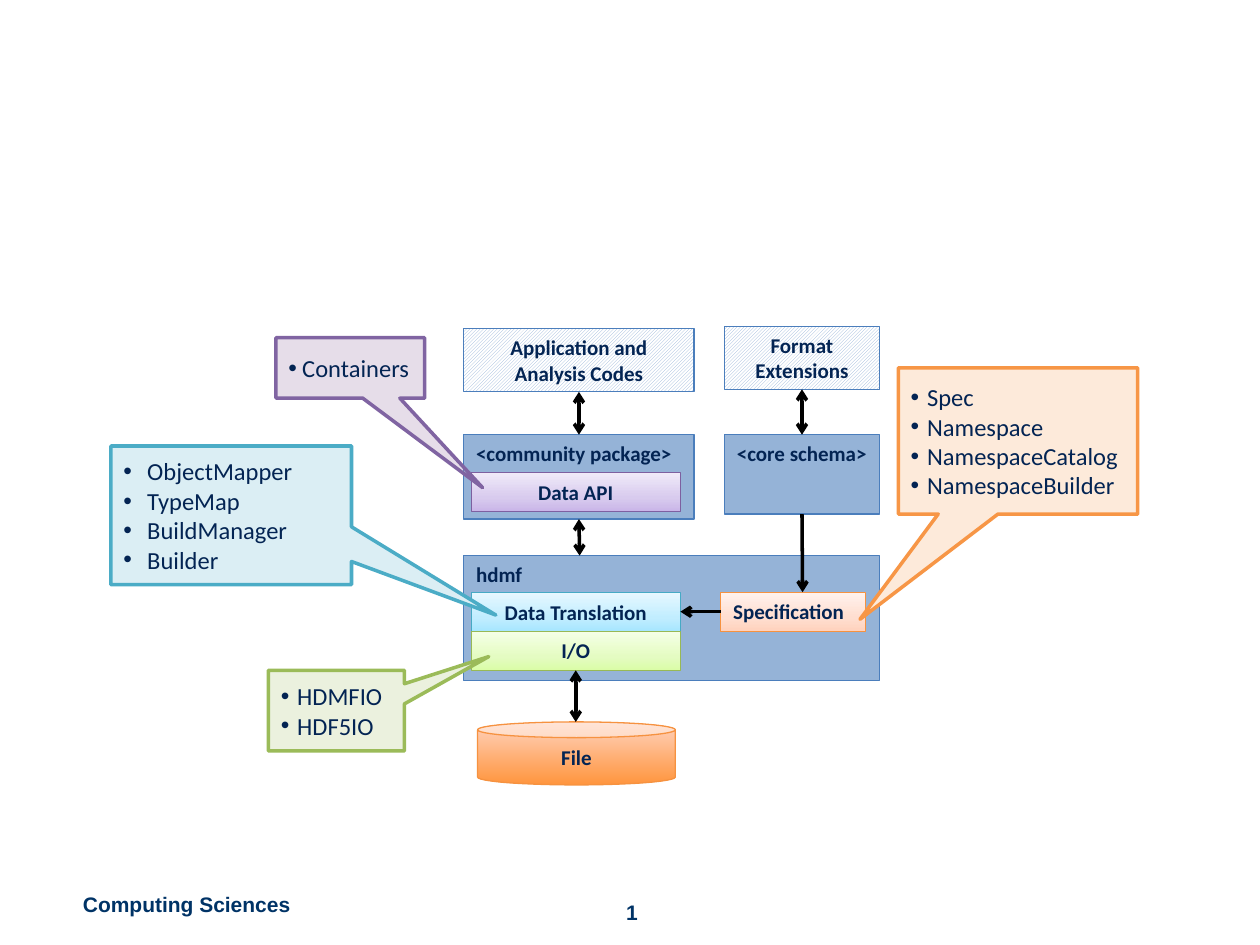
"""Build the layered software architecture slide with its class callouts."""
import copy

import pptx
import pptx.dml.color
import pptx.enum.dml
import pptx.enum.shapes
import pptx.enum.text
import pptx.oxml
import pptx.oxml.ns
import pptx.util

Inches, Pt = pptx.util.Inches, pptx.util.Pt
qn = pptx.oxml.ns.qn
KIND = pptx.enum.shapes.MSO_SHAPE
ALIGN = {"left": pptx.enum.text.PP_ALIGN.LEFT, "center": pptx.enum.text.PP_ALIGN.CENTER}
ANCHOR = {
    "top": pptx.enum.text.MSO_ANCHOR.TOP,
    "middle": pptx.enum.text.MSO_ANCHOR.MIDDLE,
    "bottom": pptx.enum.text.MSO_ANCHOR.BOTTOM,
}

INK, NAVY, BLACK = "032453", "003366", "000000"
STEEL, EDGE = "95B3D7", "4B7EBC"
HATCH = {"fore": STEEL, "back": "FFFFFF"}
PEACH = [(0, "FFD2BD"), (0.35, "FFDED0"), (1, "FFF2ED")]
LIME = [(0, "DAFDA7"), (0.35, "E4FCC2"), (1, "F5FFE7")]
LILAC = [(0, "C9B5E8"), (0.35, "D8CBEE"), (1, "F0EAF9")]
AQUA = [(0, "A7E6FF"), (0.35, "C1EDFF"), (1, "E7F8FF")]
FLAME = [(0, "FF953E"), (1, "FFD2BD")]

LEFT, RIGHT = (3.68, 1.83), (5.75, 1.23)
INNER = (3.74, 1.66)
BAR = 0.31
PANEL = LEFT[0], RIGHT[0] + RIGHT[1] - LEFT[0]

# name: text, (left, width), (top, height), fill, line, align, anchor
BOXES = {
    "hdmf": ("hdmf", PANEL, (4.41, 0.99), STEEL, EDGE, "left", "top"),
    "package": ("<community package>", LEFT, (3.45, 0.67), STEEL, EDGE, "left", "top"),
    "schema": ("<core schema>", RIGHT, (3.45, 0.63), STEEL, EDGE, "left", "top"),
    "codes": ("Application and Analysis Codes", LEFT, (2.61, 0.5), HATCH, EDGE, "center", "top"),
    "format": ("Format Extensions", RIGHT, (2.59, 0.5), HATCH, EDGE, "center", "top"),
    "spec": ("Specification", (5.72, 1.15), (4.7, BAR), PEACH, "F69240", "left", "top"),
    "api": ("Data API", INNER, (3.75, BAR), LILAC, "7D60A0", "center", "middle"),
    "trans": ("Data Translation", INNER, (4.7, BAR), AQUA, "46AAC5", "center", "middle"),
    "store": ("I/O", INNER, (4.7 + BAR, BAR), LIME, "98B955", "center", "top"),
    "file": ("File", (3.79, 1.57), (5.73, 0.5), FLAME, "F69240", "center", "middle"),
}

# start box, start side, end box, end side, both heads
LINKS = [
    ("package", 0, "codes", 2, True),
    ("hdmf", (4.6, 4.41), "package", 2, True),
    ("schema", 0, "format", 2, True),
    ("schema", 2, "spec", (6.37, 4.7), False),
    ("spec", 1, "trans", 3, False),
    ("store", 2, "file", (4.57, 5.73), True),
]

# lines, place, tip, fill, opacity, line, indent
NOTES = [
    (["ObjectMapper", "TypeMap", "BuildManager", "Builder"],
     (0.88, 3.54, 1.91, 1.1), (1.1, 0.72), "DBEEF4", 100, "4BACC6", 0.19),
    (["HDMFIO", "HDF5IO"],
     (2.13, 5.32, 1.08, 0.64), (1.12, -0.67), "EBF1DE", 100, "9BBB59", 0.13),
    (["Spec", "Namespace", "NamespaceCatalog", "NamespaceBuilder"],
     (7.13, 2.92, 1.9, 1.16), (-0.66, 1.22), "FDEADA", 100, "F79646", 0.13),
    (["Containers"],
     (2.19, 2.68, 1.18, 0.48), (0.89, 1.98), "AA8AB4", 29, "8064A2", 0.11),
]

FOOT = [
    ("Computing Sciences", (0.56, 7.03, 1.87, 0.3), "left", "top", False),
    ("1", (3.85, 6.99, 2.33, 0.4), "center", "bottom", True),
]


def rgb(code):
    return pptx.dml.color.RGBColor.from_string(code)


def write(shape, text, size=12, font="Calibri", color=INK, bold=True,
          align="left", anchor="top", wrap=True, indent=0):
    frame = shape.text_frame
    frame.word_wrap = wrap
    frame.vertical_anchor = ANCHOR[anchor]
    frame.text = text
    for para in frame.paragraphs:
        para.alignment = ALIGN[align]
        face = para.runs[0].font
        face.size, face.name, face.bold = Pt(size), font, bold
        face.color.rgb = rgb(color)
        if indent:
            props = para._p.get_or_add_pPr()
            props.set("marL", str(Inches(indent)))
            props.set("indent", str(-Inches(indent)))
            props.append(pptx.oxml.parse_xml(
                f'<a:buFont {pptx.oxml.ns.nsdecls("a")} typeface="Arial"/>'))
            props.append(pptx.oxml.parse_xml(
                f'<a:buChar {pptx.oxml.ns.nsdecls("a")} char="•"/>'))


def paint(shape, fill):
    if isinstance(fill, str):
        shape.fill.solid()
        shape.fill.fore_color.rgb = rgb(fill)
    elif isinstance(fill, dict):
        shape.fill.patterned()
        shape.fill.pattern = pptx.enum.dml.MSO_PATTERN.LIGHT_UPWARD_DIAGONAL
        shape.fill.fore_color.rgb = rgb(fill["fore"])
        shape.fill.back_color.rgb = rgb(fill["back"])
    else:
        shape.fill.gradient()
        shape.fill.gradient_angle = 90
        stops = shape._element.spPr.find(".//" + qn("a:gsLst"))
        while len(stops) < len(fill):
            stops.insert(1, copy.deepcopy(stops[0]))
        for stop, (place, code) in zip(shape.fill.gradient_stops, fill):
            stop.position = place
            stop.color.rgb = rgb(code)


def draw(slide, kind, place, fill, line, width):
    shape = slide.shapes.add_shape(kind, *map(Inches, place))
    shape.shadow.inherit = False
    paint(shape, fill)
    shape.line.color.rgb = rgb(line)
    shape.line.width = Pt(width)
    return shape


def link(slide, boxes, start, exit, end, entry, both):
    wire = slide.shapes.add_connector(pptx.enum.shapes.MSO_CONNECTOR.STRAIGHT, 0, 0, 0, 0)
    if isinstance(exit, int):
        wire.begin_connect(boxes[start], exit)
    else:
        wire.begin_x, wire.begin_y = map(Inches, exit)
    if isinstance(entry, int):
        wire.end_connect(boxes[end], entry)
    else:
        wire.end_x, wire.end_y = map(Inches, entry)
    wire.line.color.rgb = rgb(BLACK)
    wire.line.width = Pt(2)
    stroke = wire.line._get_or_add_ln()
    for tag in ["a:headEnd"] * both + ["a:tailEnd"]:
        stroke.append(pptx.oxml.parse_xml(
            f'<{tag} {pptx.oxml.ns.nsdecls("a")} type="arrow"/>'))
    wire._element.spPr.append(pptx.oxml.parse_xml(
        f'<a:effectLst {pptx.oxml.ns.nsdecls("a")}/>'))


def main():
    deck = pptx.Presentation()
    deck.slide_width, deck.slide_height = Inches(10), Inches(7.5)
    slide = deck.slides.add_slide(deck.slide_layouts[6])

    for text, place, align, anchor, wrap in FOOT:
        label = slide.shapes.add_textbox(*map(Inches, place))
        write(label, text, font="Arial", color=NAVY, align=align, anchor=anchor, wrap=wrap)

    boxes = {}
    for name, (text, (x, w), (y, h), fill, line, align, anchor) in BOXES.items():
        kind = KIND.CAN if name == "file" else KIND.RECTANGLE
        box = boxes[name] = draw(slide, kind, (x, y, w, h), fill, line, 0.75)
        write(box, text, align=align, anchor=anchor)
        if align == "left":
            box.text_frame.margin_right = 0

    for item in LINKS:
        link(slide, boxes, *item)

    for lines, place, tip, fill, alpha, line, indent in NOTES:
        note = draw(slide, KIND.RECTANGULAR_CALLOUT, place, fill, line, 2)
        note.adjustments[0], note.adjustments[1] = tip
        if alpha < 100:
            tint = note._element.spPr.find(qn("a:solidFill"))[0]
            tint.append(pptx.oxml.parse_xml(
                f'<a:alpha {pptx.oxml.ns.nsdecls("a")} val="{alpha * 1000}"/>'))
        write(note, "\n".join(lines), size=14, bold=False, anchor="middle", indent=indent)

    deck.save("out.pptx")


if __name__ == "__main__":
    main()
